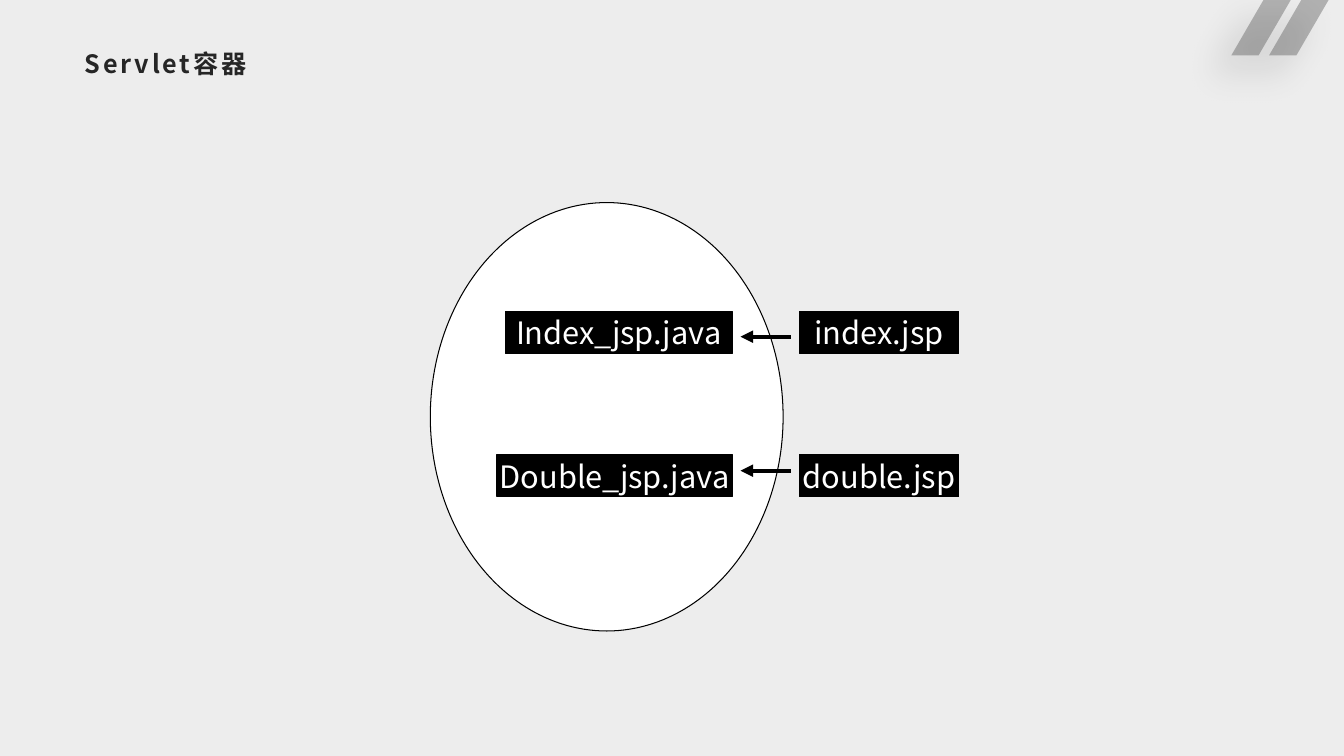
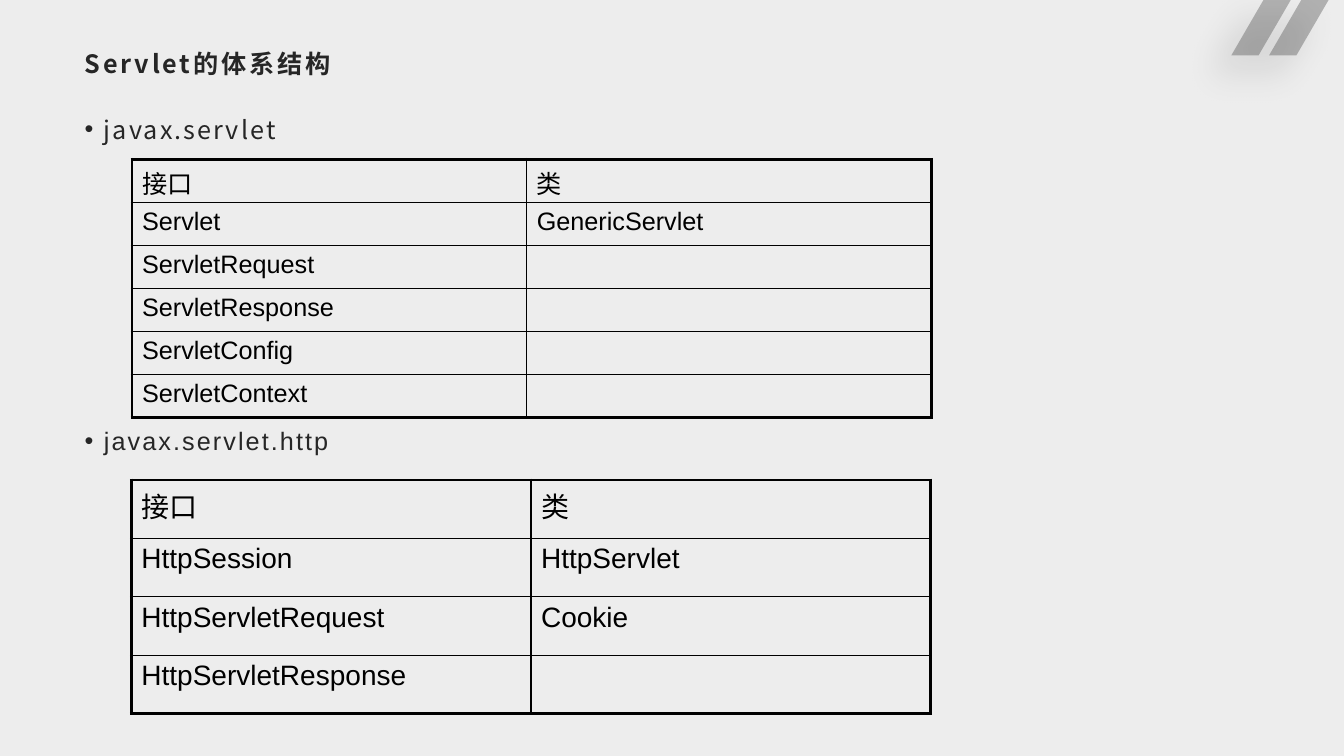
from dataclasses import dataclass

from lxml import etree
from pptx import Presentation
from pptx.dml.color import RGBColor
from pptx.enum.shapes import MSO_CONNECTOR, MSO_SHAPE
from pptx.enum.text import MSO_ANCHOR, PP_ALIGN
from pptx.oxml.ns import qn
from pptx.util import Pt

STRAIGHT = MSO_CONNECTOR.STRAIGHT
OVAL, RECTANGLE = MSO_SHAPE.OVAL, MSO_SHAPE.RECTANGLE
TOP, MIDDLE = MSO_ANCHOR.TOP, MSO_ANCHOR.MIDDLE
LEFT, CENTER = PP_ALIGN.LEFT, PP_ALIGN.CENTER
TITLE_ONLY = 5


@dataclass(frozen=True)
class Theme:
    background: RGBColor = RGBColor(0xED, 0xED, 0xED)
    ink: RGBColor = RGBColor(0x26, 0x26, 0x26)
    black: RGBColor = RGBColor(0, 0, 0)
    white: RGBColor = RGBColor(255, 255, 255)
    sans: str = "Noto Sans CJK SC"
    latin: str = "Arial"
    body_size: float = 18
    large_size: float = 20
    label_size: float = 22
    thin: float = 0.75
    grid: float = 1
    frame: float = 2.25
    arrow: float = 3


def set_all(target, values):
    for name, value in values.items():
        setattr(target, name, value)


def add_xml(parent, tag, **attributes):
    return etree.SubElement(parent, qn(tag), {key: str(value) for key, value in attributes.items()})


def points(*lengths):
    return [Pt(length) for length in lengths]


class Deck:
    """Holds the theme, the presentation and the slide being drawn."""

    def __init__(self, theme):
        self.theme = theme
        self.presentation = Presentation()
        set_all(self.presentation, {"slide_width": Pt(960), "slide_height": Pt(540)})
        fill = self.presentation.slide_master.background.fill
        fill.solid()
        fill.fore_color.rgb = theme.background
        self.slide = None

    def add_slide(self, title):
        layout = self.presentation.slide_layouts[TITLE_ONLY]
        self.slide = self.presentation.slides.add_slide(layout)
        self.corner_mark()
        shape = self.slide.shapes.title
        left, top, width, height = points(52.6, 34.6, 854.6, 34.6)
        set_all(shape, {"left": left, "top": top, "width": width, "height": height})
        self.format_frame(shape.text_frame, TOP, True, (7.9, 0, 5.8, 2.9))
        paragraph = shape.text_frame.paragraphs[0]
        paragraph.alignment = LEFT
        self.run(paragraph, title, self.theme.body_size, self.theme.ink, bold=True, spacing=2)

    def format_frame(self, frame, anchor, wrap, insets):
        left, top, right, bottom = points(*insets)
        set_all(frame, {
            "vertical_anchor": anchor, "word_wrap": wrap, "margin_left": left,
            "margin_top": top, "margin_right": right, "margin_bottom": bottom,
        })

    def run(self, paragraph, text, size, color, font=None, bold=False, spacing=0):
        run = paragraph.add_run()
        run.text = text
        set_all(run.font, {"size": Pt(size), "name": font or self.theme.sans, "bold": bold})
        run.font.color.rgb = color
        properties = run.font._element
        properties.set("spc", str(int(spacing * 100)))
        east_asian = etree.Element(qn("a:ea"), typeface=self.theme.sans)
        properties.find(qn("a:latin")).addnext(east_asian)

    def corner_mark(self):
        """Draw two translucent slanted bars with a soft shadow."""
        bar = [(929.5, 0), (949, 0), (926, 39.6), (906.5, 39.6)]
        bars = [[points(x - shift, y) for x, y in bar] for shift in (0, 27)]
        builder = self.slide.shapes.build_freeform(*bars[0][0])
        builder.add_line_segments(bars[0][1:], close=True)
        builder.move_to(*bars[1][0])
        builder.add_line_segments(bars[1][1:], close=True)
        shape = builder.convert_to_shape()
        shape.shadow.inherit = False
        shape.fill.solid()
        shape.fill.fore_color.rgb = self.theme.ink
        shape.line.fill.background()
        properties = shape._element.spPr
        color = properties.find(qn("a:solidFill")).find(qn("a:srgbClr"))
        add_xml(color, "a:alpha", val=30000)
        shadow = add_xml(properties.find(qn("a:effectLst")), "a:outerShdw", blurRad=Pt(26),
                         dist=Pt(19), dir=135 * 60000, algn="tr", rotWithShape=0)
        shadow_color = add_xml(shadow, "a:srgbClr", val=self.theme.black)
        add_xml(shadow_color, "a:alpha", val=40000)

    def box(self, kind, left, top, width, height, fill, text=""):
        shape = self.slide.shapes.add_shape(kind, *points(left, top, width, height))
        shape.shadow.inherit = False
        shape.fill.solid()
        shape.fill.fore_color.rgb = fill
        shape.line.color.rgb = self.theme.black
        shape.line.width = Pt(self.theme.thin)
        if text:
            self.format_frame(shape.text_frame, MIDDLE, False, (0, 0, 0, 0))
            paragraph = shape.text_frame.paragraphs[0]
            paragraph.alignment = CENTER
            self.run(paragraph, text, self.theme.label_size, self.theme.white)

    def arrow(self, start_x, end_x, y):
        connector = self.slide.shapes.add_connector(STRAIGHT, *points(start_x, y, end_x, y))
        connector.line.color.rgb = self.theme.black
        connector.line.width = Pt(self.theme.arrow)
        add_xml(connector.line._get_or_add_ln(), "a:tailEnd", type="triangle")
        add_xml(connector._element.spPr, "a:effectLst")

    def bullets(self, left, top, width, height, items, gap):
        """Write (text, font) items as bullets, with extra space between them."""
        shape = self.slide.shapes.add_textbox(*points(left, top, width, height))
        frame = shape.text_frame
        self.format_frame(frame, TOP, True, (7.9, 0, 6.5, 0))
        for index, (text, font) in enumerate(items):
            paragraph = frame.add_paragraph() if index else frame.paragraphs[0]
            set_all(paragraph, {"line_spacing": 1.3, "space_after": Pt(10),
                                "space_before": Pt(gap if index else 0)})
            properties = paragraph._p.get_or_add_pPr()
            properties.set("marL", str(Pt(13.7)))
            properties.set("indent", str(-Pt(13.7)))
            add_xml(properties, "a:buFont", typeface=self.theme.latin)
            add_xml(properties, "a:buChar", char="•")
            self.run(paragraph, text, self.theme.body_size, self.theme.ink, font, spacing=1.5)

    def table(self, left, top, column_widths, row_height, rows, size):
        row_count, column_count = len(rows), len(column_widths)
        table = self.slide.shapes.add_table(
            row_count, column_count,
            *points(left, top, sum(column_widths), row_height * row_count)).table
        set_all(table, {"first_row": False, "horz_banding": False})
        for column, width in zip(table.columns, column_widths):
            column.width = Pt(width)
        for row_index, texts in enumerate(rows):
            table.rows[row_index].height = Pt(row_height)
            for column_index, text in enumerate(texts):
                cell = table.cell(row_index, column_index)
                cell.fill.background()
                self.cell_borders(cell, {
                    "a:lnL": column_index == 0, "a:lnR": column_index == column_count - 1,
                    "a:lnT": row_index == 0, "a:lnB": row_index == row_count - 1,
                })
                if text:
                    self.run(cell.text_frame.paragraphs[0], text, size,
                             self.theme.black, self.theme.latin)

    def cell_borders(self, cell, outer_sides):
        properties = cell._tc.get_or_add_tcPr()
        for index, (tag, is_outer) in enumerate(outer_sides.items()):
            width = self.theme.frame if is_outer else self.theme.grid
            line = etree.Element(qn(tag), w=str(Pt(width)))
            add_xml(add_xml(line, "a:solidFill"), "a:srgbClr", val=self.theme.black)
            properties.insert(index, line)


def container_slide(deck):
    theme = deck.theme
    deck.add_slide("Servlet容器")
    deck.box(OVAL, 307.4, 144.7, 252, 306, theme.white)
    java_right, jsp_left, arrow_gap = 523, 571, 6
    pages = [
        ("index.jsp", "Index_jsp.java", 162, 222.5, 240.5),
        ("double.jsp", "Double_jsp.java", 168, 324.7, 336.2),
    ]
    for page, java, java_width, top, arrow_y in pages:
        deck.box(RECTANGLE, jsp_left, top, 114, 30.2, theme.black, page)
        deck.box(RECTANGLE, java_right - java_width, top, java_width, 30.2, theme.black, java)
        deck.arrow(jsp_left - arrow_gap, java_right + arrow_gap, arrow_y)


def structure_slide(deck):
    theme = deck.theme
    deck.add_slide("Servlet的体系结构")
    deck.bullets(52.6, 74.9, 854.6, 424,
                 [("javax.servlet", theme.sans), ("javax.servlet.http", theme.latin)], gap=184.5)
    header = ("接口", "类")
    deck.table(94.3, 113.8, (282, 289), 30.7, [
        header,
        ("Servlet", "GenericServlet"),
        ("ServletRequest", ""),
        ("ServletResponse", ""),
        ("ServletConfig", ""),
        ("ServletContext", ""),
    ], theme.body_size)
    deck.table(93.8, 342.9, (285.5, 285.5), 41.7, [
        header,
        ("HttpSession", "HttpServlet"),
        ("HttpServletRequest", "Cookie"),
        ("HttpServletResponse", ""),
    ], theme.large_size)


def main():
    deck = Deck(Theme())
    container_slide(deck)
    structure_slide(deck)
    deck.presentation.save("out.pptx")


if __name__ == "__main__":
    main()
